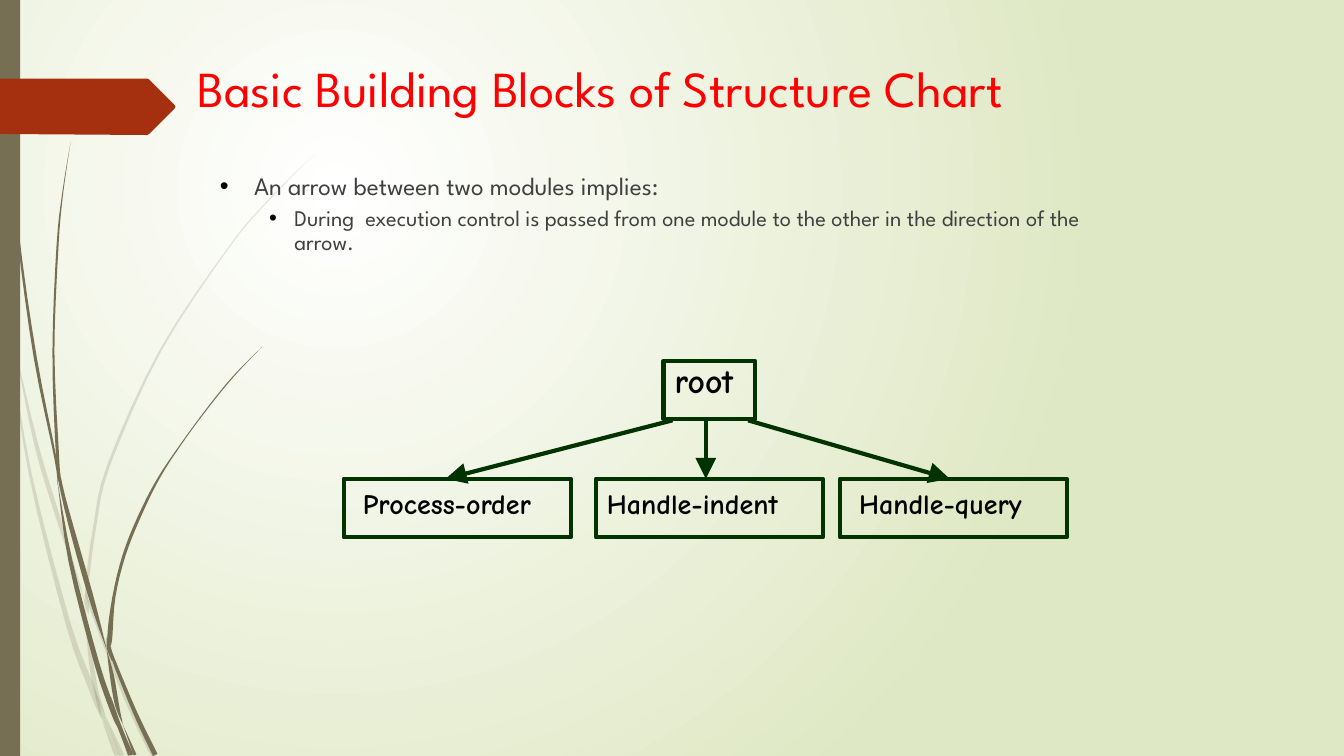
from dataclasses import dataclass
from math import hypot

from pptx import Presentation
from pptx import util as u
from pptx.dml.color import RGBColor
from pptx.enum import shapes, text
from pptx.oxml.ns import qn
from pptx.oxml.xmlchemy import OxmlElement

PX = 9144   # EMU in one px, 100 px to the inch
SUB = 20    # outline steps in one px
WIDE, HIGH = 1333, 750


@dataclass(frozen=True)
class Theme:
    glow: str = "FFFFFF"
    sage: str = "DFE8C4"
    olive: str = "766F54"
    rust: str = "A53010"
    title: str = "FF0000"
    body: str = "404040"
    ink: str = "000000"
    edge: str = "003300"
    sans: str = "League Spartan"
    hand: str = "Comic Neue"
    mark: str = "Arial"
    head: int = 36
    root: int = 24
    node: int = 20
    lead: int = 18
    sub: int = 16
    rule: int = 3


def node(parent, tag, **attrs):
    item = OxmlElement(tag)
    for key, val in attrs.items():
        item.set(key, str(val))
    parent.append(item)
    return item


def spline(pts, steps=4):
    """Smooth path through the points; each point is x, y, width."""
    ext = [pts[0], *pts, pts[-1]]
    path = []
    for a, b, c, d in zip(ext, ext[1:], ext[2:], ext[3:]):
        for i in range(steps):
            t = i / steps
            path.append([
                (2 * q + (r - p) * t + (2 * p - 5 * q + 4 * r - s) * t ** 2
                 + (3 * q - p - 3 * r + s) * t ** 3) / 2
                for p, q, r, s in zip(a, b, c, d)])
    return path + [list(pts[-1])]


class Deck:
    def __init__(self, theme):
        self.theme = theme
        self.prs = Presentation()
        self.prs.slide_width, self.prs.slide_height = WIDE * PX, HIGH * PX
        self.slide = self.prs.slides.add_slide(self.prs.slide_layouts[6])
        self.shapes = self.slide.shapes

    def color(self, name):
        return RGBColor.from_string(getattr(self.theme, name))

    def glow(self, inner, outer):
        fill = self.slide.background.fill
        fill.gradient()
        for stop, name in zip(fill.gradient_stops, (inner, outer)):
            stop.color.rgb = self.color(name)
        grad = self.slide.element.xpath(".//a:gradFill")[0]
        grad.remove(grad.find(qn("a:lin")))
        ring = node(grad, "a:path", path="circle")
        node(ring, "a:fillToRect", l=50000, t=50000, r=100000, b=100000)

    def paint(self, shape, fill, alpha=100):
        shape.shadow.inherit = False
        shape.line.fill.background()
        shape.fill.solid()
        shape.fill.fore_color.rgb = self.color(fill)
        if alpha < 100:
            tone = shape.element.spPr.find(qn("a:solidFill"))[0]
            node(tone, "a:alpha", val=alpha * 1000)

    def bar(self, x, y, w, h, fill):
        kind = shapes.MSO_SHAPE.RECTANGLE
        self.paint(self.shapes.add_shape(kind, x * PX, y * PX, w * PX, h * PX), fill)

    def form(self, pts, fill, alpha=100):
        pts = [(x * SUB, y * SUB) for x, y in pts]
        build = self.shapes.build_freeform(*pts[0], scale=PX / SUB)
        build.add_line_segments(pts[1:], close=True)
        self.paint(build.convert_to_shape(), fill, alpha)

    def wisp(self, pts, fill, alpha=100):
        path = spline(pts)
        ends = [path[0], *path, path[-1]]
        left, right = [], []
        for (ax, ay, _), (x, y, w), (bx, by, _) in zip(ends, path, ends[2:]):
            size = 2 * hypot(bx - ax, by - ay)
            dx, dy = (ay - by) * w / size, (bx - ax) * w / size
            for side, sign in ((left, 1), (right, -1)):
                side.append((max(0, x + sign * dx), min(HIGH, y + sign * dy)))
        self.form(left + right[::-1], fill, alpha)

    def text(self, x, y, w, h, paras, anchor="TOP"):
        """Each paragraph: words, size, font, color, bold, spacing, bullet."""
        frame = self.shapes.add_textbox(x * PX, y * PX, w * PX, h * PX).text_frame
        frame.word_wrap = True
        frame.vertical_anchor = text.MSO_ANCHOR[anchor]
        frame.margin_left = frame.margin_right = 2 * PX
        frame.margin_top = frame.margin_bottom = 5 * PX
        for i, (words, size, font, color, bold, gap, dot) in enumerate(paras):
            para = frame.add_paragraph() if i else frame.paragraphs[0]
            if dot:
                self.dot(para, i, *dot)
            para.line_spacing = gap
            if i:
                para.space_before = u.Pt(5)
            run = para.add_run()
            run.text = words
            run.font.name = getattr(self.theme, font)
            run.font.size = u.Pt(getattr(self.theme, size))
            run.font.bold = bold
            run.font.color.rgb = self.color(color)

    def dot(self, para, level, left, hang):
        para.level = level
        props = para._p.get_or_add_pPr()
        props.set("marL", str(left * PX))
        props.set("indent", str(-hang * PX))
        node(node(props, "a:buClr"), "a:srgbClr", val=self.theme.ink)
        node(props, "a:buFont", typeface=self.theme.mark)
        node(props, "a:buChar", char="•")

    def box(self, x, y, w, h):
        kind = shapes.MSO_SHAPE.ROUNDED_RECTANGLE
        box = self.shapes.add_shape(kind, x * PX, y * PX, w * PX, h * PX)
        box.adjustments[0] = 0
        box.shadow.inherit = False
        box.fill.background()
        self.stroke(box.line)

    def stroke(self, line):
        line.color.rgb = self.color("edge")
        line.width = u.Pt(self.theme.rule)

    def arrow(self, ax, ay, bx, by):
        kind = shapes.MSO_CONNECTOR.STRAIGHT
        link = self.shapes.add_connector(kind, ax * PX, ay * PX, bx * PX, by * PX)
        self.stroke(link.line)
        node(link.line._get_or_add_ln(), "a:tailEnd", type="triangle", w="lg", len="lg")
        node(link.element.spPr, "a:effectLst")


# Grass blades: x, y, width along each piece
PALE = [
    [(0, 290, 4), (5, 318, 3), (11, 350, 0)],
    [(15, 345, 0), (36, 441, 4), (60, 521, 4), (85, 599, 0)],
    [(88, 596, 0), (91, 605, 3), (125, 693, 4), (152, 750, 5)],
    [(105, 711, 0), (121, 750, 5)],
    [(11, 350, 0), (30, 470, 3), (68, 620, 5), (93, 688, 6), (101, 714, 0)],
    [(84, 599, 0), (89, 646, 4), (95, 683, 4), (105, 711, 0)],
    [(312, 153, 0), (268, 197, 1), (228, 244, 1), (159, 348, 2), (108, 461, 3),
     (94, 522, 3), (86, 584, 3), (88, 596, 0)],
    [(101, 714, 0), (116, 750, 5)],
    [(85, 586, 0), (86, 598, 4), (88, 610, 0)],
    [(93, 683, 0), (101, 707, 4), (119, 750, 0)],
]
DARK = [
    [(4, 0, 1), (8, 110, 1), (18, 233, 2), (35, 355, 3), (55, 455, 2), (57, 481, 0)],
    [(60, 472, 0), (66, 505, 4), (90, 591, 5), (106, 645, 0)],
    [(110, 641, 0), (112, 653, 3), (134, 707, 4), (154, 749, 5)],
    [(57, 477, 0), (70, 557, 4), (96, 658, 5), (113, 708, 5), (117, 722, 0)],
    [(70, 141, 0), (62, 193, 1), (57, 245, 2), (53, 349, 2), (57, 451, 3), (60, 472, 0)],
    [(122, 719, 0), (134, 749, 3)],
    [(55, 449, 0), (59, 475, 3), (64, 505, 0)],
    [(260, 344, 0), (231, 374, 1), (205, 406, 1), (180, 440, 1), (157, 475, 2),
     (138, 513, 3), (123, 551, 3), (113, 592, 3), (109, 631, 5), (110, 641, 0)],
    [(117, 722, 0), (129, 749, 4)],
    [(106, 645, 0), (111, 670, 4), (116, 699, 4), (122, 719, 0)],
    [(106, 631, 0), (108, 643, 4), (111, 656, 0)],
    [(110, 691, 0), (119, 722, 4), (131, 749, 3)],
]
TAG = [(0, 78), (146, 78), (148, 79), (173, 104), (174, 106), (173, 108),
       (148, 133), (146, 134), (0, 133)]
# Modules: box left, label left, words, arrow start, arrow end
CALLS = [(341, 358, "Process-order", 667, 442),
         (591, 600, "Handle-indent", 700, 700),
         (833, 850, "Handle-query", 742, 942)]


def main():
    deck = Deck(Theme())
    # Backdrop
    deck.glow("glow", "sage")
    for blades, alpha in ((PALE, 20), (DARK, 100)):
        for blade in blades:
            deck.wisp(blade, "olive", alpha)
    deck.bar(0, 0, 20, HIGH, "olive")
    deck.form(TAG, "rust")
    # Title and bullets
    deck.text(194, 39, 954, 103, [("Basic Building Blocks of Structure Chart",
              "head", "sans", "title", False, 0.9, None)], "MIDDLE")
    deck.text(216, 167, 912, 450, [
        ("An arrow between two modules implies:",
         "lead", "sans", "body", False, 0.9, (34, 34)),
        ("During  execution control is passed from one module to the other "
         "in the direction of the arrow.",
         "sub", "sans", "body", False, 0.9, (74, 25))])
    # Structure chart
    deck.box(658, 358, 91, 58)
    deck.text(667, 358, 125, 50, [("root", "root", "hand", "ink", True, 0.85, None)])
    for left, label, words, start, end in CALLS:
        deck.box(left, 475, 225, 58)
        deck.text(label, 483, 208, 43,
                  [(words, "node", "hand", "ink", True, 0.85, None)])
        deck.arrow(start, 417, end, 475)
    deck.prs.save("out.pptx")


if __name__ == "__main__":
    main()
